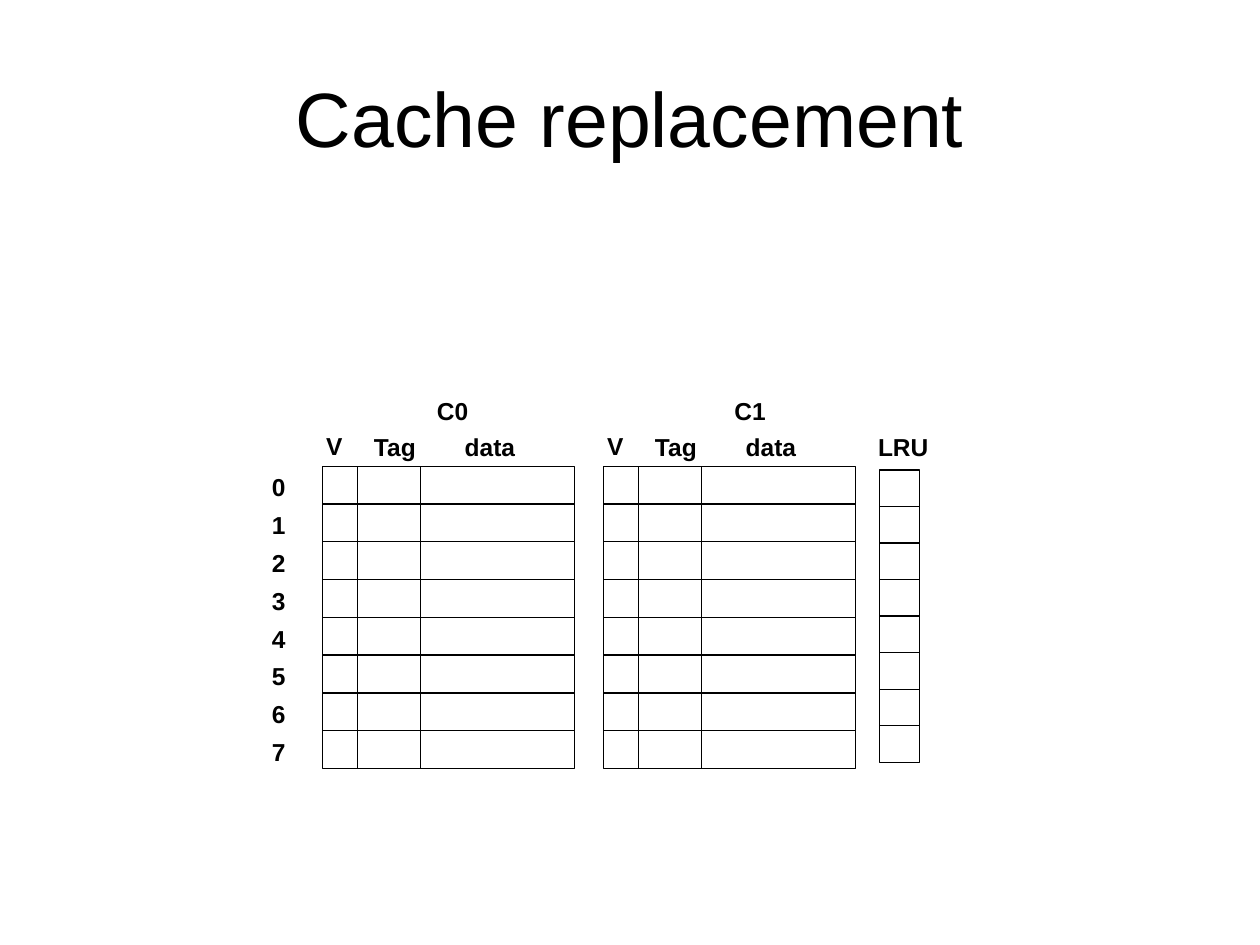
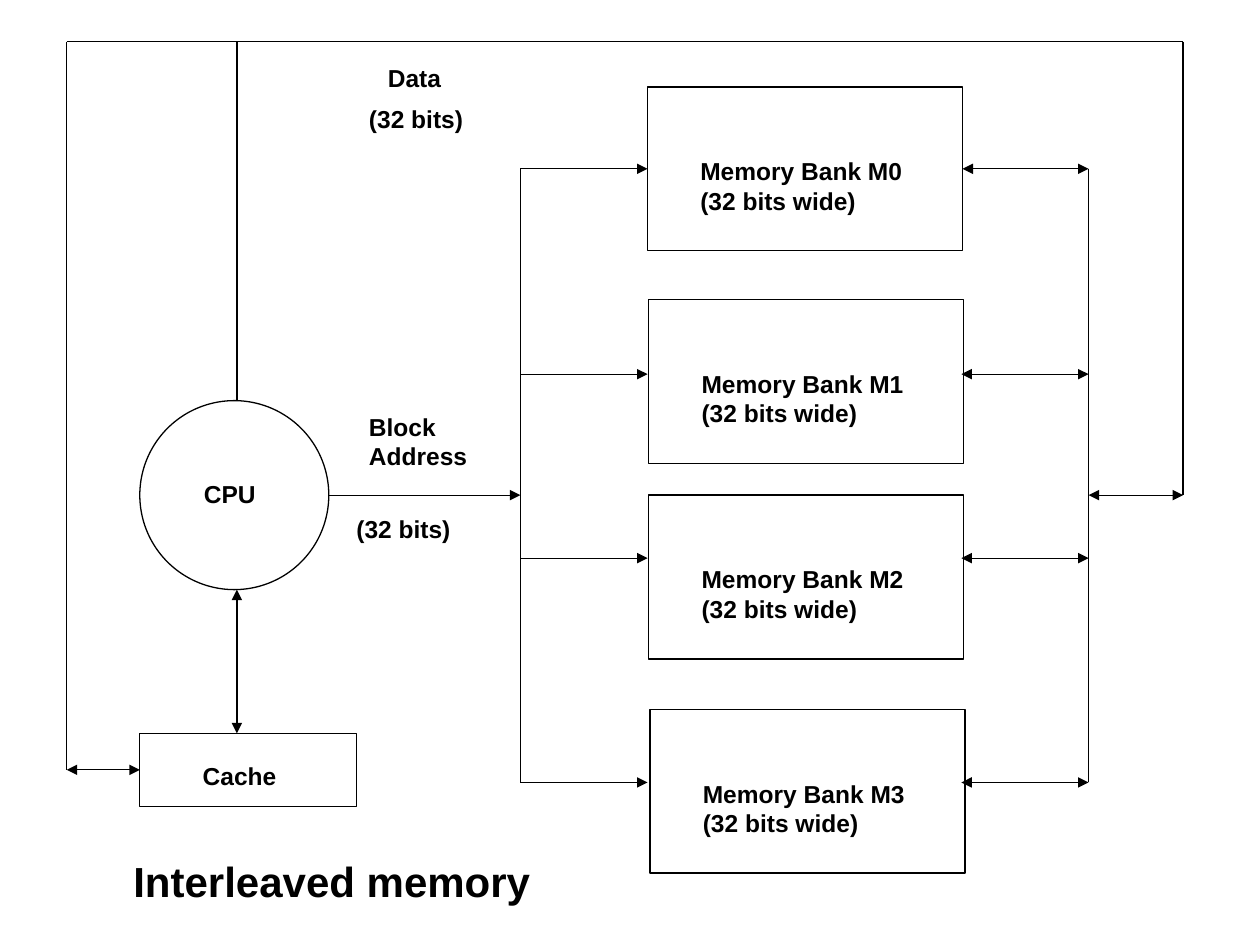
from lxml import etree
from pptx import Presentation
from pptx.dml.color import RGBColor
from pptx.enum.shapes import MSO_CONNECTOR, MSO_SHAPE
from pptx.enum.text import MSO_ANCHOR, MSO_AUTO_SIZE, PP_ALIGN
from pptx.oxml.ns import qn
from pptx.util import Emu, Pt

STRAIGHT = MSO_CONNECTOR.STRAIGHT
RECT, OVAL = MSO_SHAPE.RECTANGLE, MSO_SHAPE.OVAL
MIDDLE, CENTER = MSO_ANCHOR.MIDDLE, PP_ALIGN.CENTER
GROW, FIXED = MSO_AUTO_SIZE.SHAPE_TO_FIT_TEXT, MSO_AUTO_SIZE.NONE
LEFT_SIDE, RIGHT_SIDE = 1, 3


def px(length):
    """Turn px, 100 to the inch, into EMU."""
    return Emu(length * 9144)


def color(hex_code):
    """Turn a hex string into a colour."""
    return RGBColor.from_string(hex_code)


class Deck:
    """Holds the shared style and the slide being drawn."""

    FONT, INK, STROKE = "Arial", "000000", 0.75

    def __init__(self):
        """Start an empty 10 by 7.5 inch deck."""
        self.prs = Presentation()
        self.prs.slide_width, self.prs.slide_height = px(1000), px(750)
        self.slide = None

    def new_slide(self):
        """Add a blank slide and make it current."""
        self.slide = self.prs.slides.add_slide(self.prs.slide_layouts[6])

    def pen(self, line):
        """Apply the shared outline style."""
        line.color.rgb = color(self.INK)
        line.width = Pt(self.STROKE)

    def text(self, x, y, w, h, *lines, size=14, bold=True, wrap=False):
        """Add a text box with one paragraph for each line."""
        box = self.slide.shapes.add_textbox(px(x), px(y), px(w), px(h))
        frame = box.text_frame
        frame.word_wrap = wrap
        frame.auto_size = GROW
        frame.text = "\n".join(lines)
        for paragraph in frame.paragraphs:
            font = paragraph.font
            font.name, font.size, font.bold = self.FONT, Pt(size), bold
            font.color.rgb = color(self.INK)
        return frame

    def title(self, words):
        """Add the large centred slide title."""
        frame = self.text(50, 30, 900, 125, words, size=44, bold=False, wrap=True)
        frame.auto_size = FIXED
        frame.vertical_anchor = MIDDLE
        frame.paragraphs[0].alignment = CENTER

    def outline(self, x, y, w, h, kind=RECT):
        """Add an unfilled outlined shape."""
        shape = self.slide.shapes.add_shape(kind, px(x), px(y), px(w), px(h))
        shape.shadow.inherit = False
        shape.fill.background()
        self.pen(shape.line)
        return shape

    def line(self, x1, y1, x2, y2, arrows=""):
        """Add a line with arrowheads at the ends named in arrows."""
        link = self.slide.shapes.add_connector(STRAIGHT, px(x1), px(y1), px(x2), px(y2))
        self.pen(link.line)
        properties = link.line._get_or_add_ln()
        for end in arrows.split():
            etree.SubElement(properties, qn(f"a:{end}End"), type="triangle")
        etree.SubElement(properties.getparent(), qn("a:effectLst"))
        return link


def cache_way(deck, name, left, name_left):
    """Draw one cache way with its column headings."""
    top, row_height, width = 370, 30, 200
    for row in range(8):
        deck.outline(left, top + row * row_height, width, row_height)
    for divider in (28, 78):
        deck.line(left + divider, top, left + divider, top + 8 * row_height)
    deck.text(left - 7, 337, 33, 34, "V")
    deck.text(left + 31, 338, 60, 34, "Tag")
    deck.text(left + 103, 338, 60, 34, "data")
    deck.text(name_left, 309, 56, 34, name)


def cache_replacement(deck):
    """Draw the two-way cache and its LRU column."""
    deck.new_slide()
    deck.title("Cache replacement")
    for index in range(8):
        deck.text(206, 370 + index * 30, 31, 34, str(index))
        deck.outline(698, 373 + index * 29, 32, 29)
    cache_way(deck, "C0", 256, 337)
    cache_way(deck, "C1", 479, 573)
    deck.text(687, 338, 71, 34, "LRU")


def interleaved_memory(deck):
    """Draw the processor, cache and four memory banks."""
    deck.new_slide()
    address_bus, data_bus, far_left, far_right = 413, 864, 53, 939
    data_top, cpu_middle, cpu_center, cache_middle = 33, 393, 188, 611

    deck.outline(111, 318, 150, 150, OVAL)
    deck.text(152, 375, 66, 34, "CPU")
    cache = deck.outline(111, 582, 172, 58)
    deck.text(151, 599, 89, 34, "Cache")

    banks = [(514, 69, 134), (515, 238, 297), (515, 393, 443), (516, 563, 621)]
    for number, (left, top, tap) in enumerate(banks):
        bank = deck.outline(left, top, 250, 130)
        deck.text(left + 32, top + 50, 186, 57, f"Memory Bank M{number}", "(32 bits wide)")
        address = deck.line(address_bus, tap, 514, tap, "tail")
        data = deck.line(data_bus, tap, 763, tap, "head tail")
        if tap == top + 65:
            address.end_connect(bank, LEFT_SIDE)
            data.end_connect(bank, RIGHT_SIDE)
    for bus in (address_bus, data_bus):
        deck.line(bus, banks[0][2], bus, banks[-1][2])

    deck.line(261, cpu_middle, address_bus, cpu_middle, "tail")
    deck.line(cpu_center, 318, cpu_center, data_top)
    deck.line(cpu_center, 468, cpu_center, 582, "head tail")
    deck.line(far_left, data_top, far_right, data_top)
    deck.line(far_right, data_top, far_right, cpu_middle)
    deck.line(far_right, cpu_middle, data_bus, cpu_middle, "head tail")
    deck.line(far_left, data_top, far_left, cache_middle)
    cache_link = deck.line(far_left, cache_middle, 111, cache_middle, "head tail")
    cache_link.end_connect(cache, LEFT_SIDE)

    deck.text(298, 45, 73, 34, "Data")
    deck.text(283, 78, 105, 34, "(32 bits)")
    deck.text(283, 322, 129, 57, "Block", "Address", wrap=True)
    deck.text(273, 403, 105, 34, "(32 bits)")
    deck.text(96, 674, 335, 50, "Interleaved memory", size=24)


def main():
    """Build and save both slides."""
    deck = Deck()
    cache_replacement(deck)
    interleaved_memory(deck)
    deck.prs.save("out.pptx")


if __name__ == "__main__":
    main()
